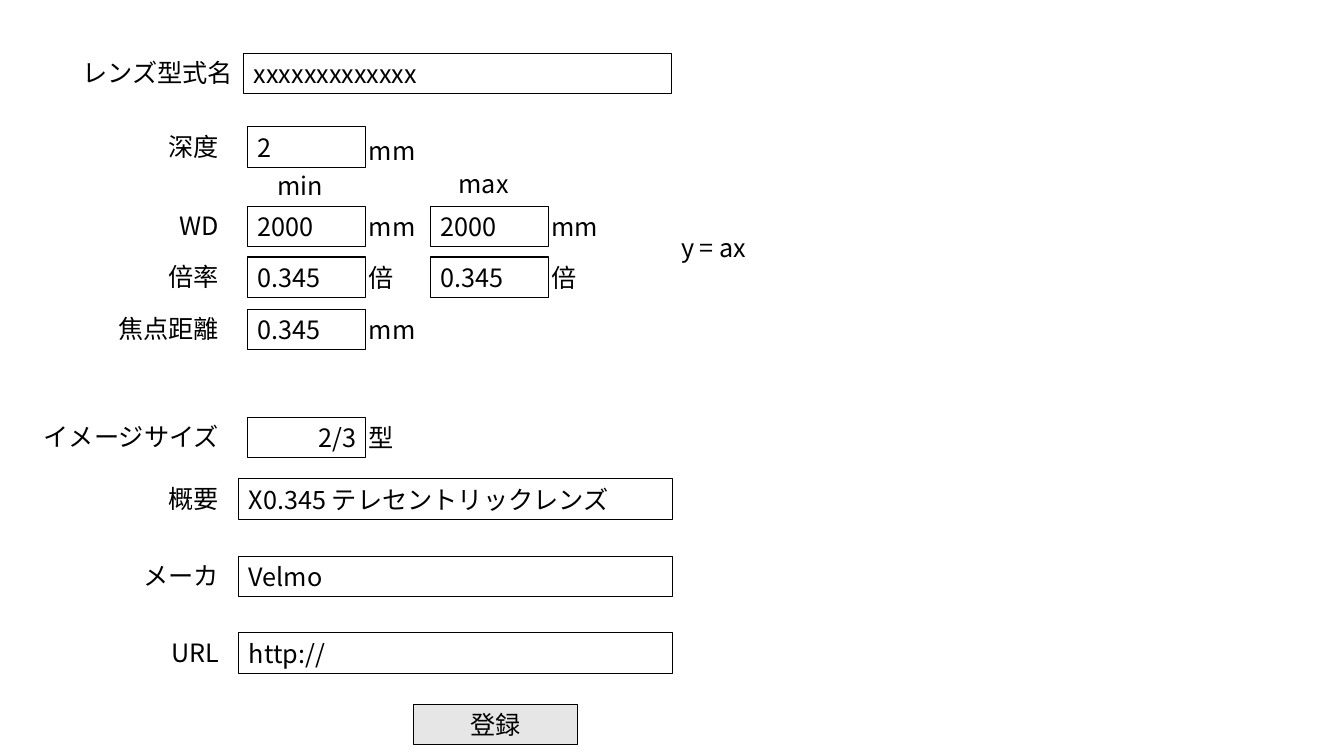
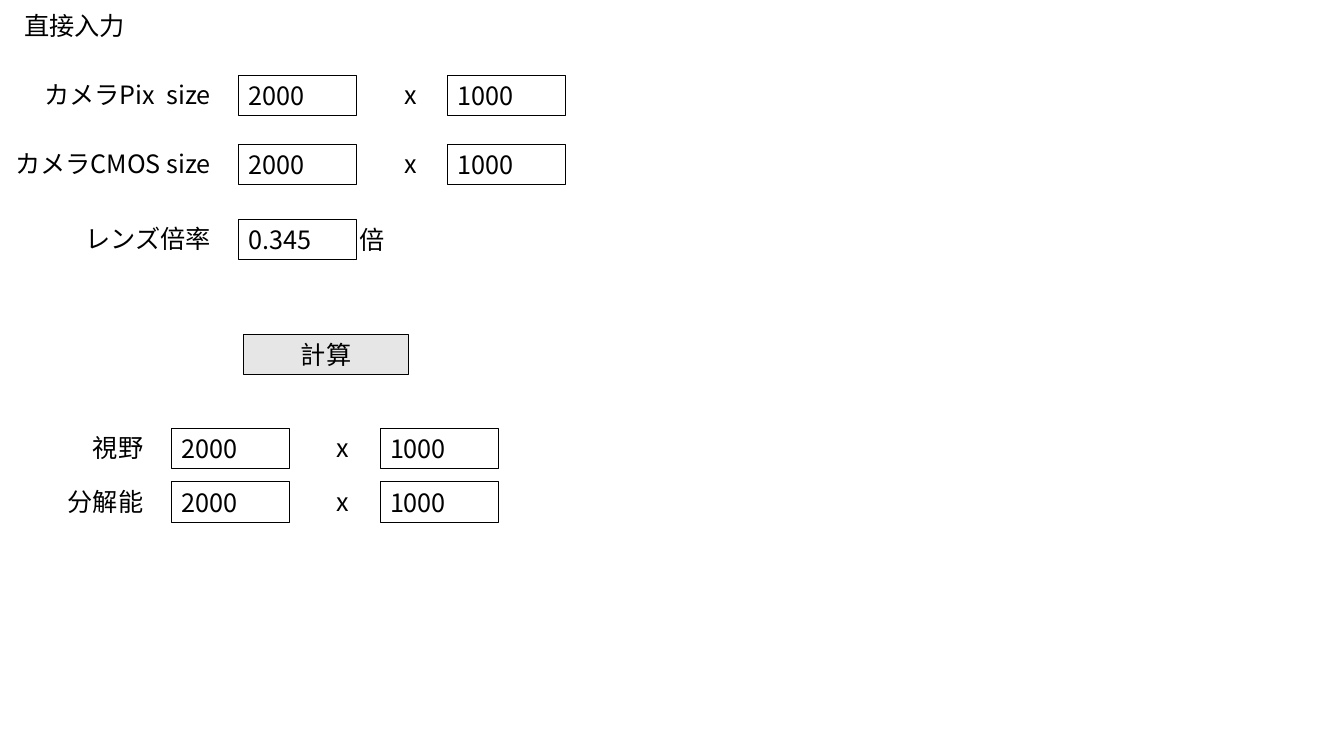
from dataclasses import dataclass

from pptx import Presentation
from pptx.dml.color import RGBColor
from pptx.enum.shapes import MSO_SHAPE as Preset
from pptx.enum.text import MSO_ANCHOR as Anchor, PP_ALIGN as Align
from pptx.oxml.ns import qn
from pptx.util import Inches, Pt

COLORS = {"ink": "000000", "button": "E7E6E6"}
FONT = "Noto Sans CJK JP"
HEIGHT = 0.4
FIELD_WIDTH = 1.17
BUTTON_WIDTH = 1.63
UNIT_STEP = 1.1
TIMES_STEP = 1.54
PAIR_STEP = 2.07
MAX_STEP = 1.81


@dataclass(frozen=True)
class Field:
    left: float
    value: str
    unit: str = ""
    width: float = FIELD_WIDTH
    align: Align = Align.LEFT
    unit_drop: float = 0.0


@dataclass(frozen=True)
class Row:
    label: str
    top: float
    label_right: float
    fields: tuple[Field, ...]
    times: bool = False


def write_text(box, text: str, *, align: Align = Align.LEFT, inset: float = 0.1) -> None:
    frame = box.text_frame
    frame.word_wrap = True
    frame.vertical_anchor = Anchor.MIDDLE
    frame.margin_left = Inches(inset)
    para = frame.paragraphs[0]
    para.alignment = align
    span = para.add_run()
    span.text = text
    span.font.name = FONT
    span.font.size = Pt(18)
    span.font.color.rgb = RGBColor.from_string(COLORS["ink"])
    east_asian = span.font._element.makeelement(qn("a:ea"), {"typeface": FONT})
    span.font._element.append(east_asian)


def add_text(page, left: float, top: float, width: float, text: str, **style) -> None:
    box = page.shapes.add_textbox(Inches(left), Inches(top), Inches(width), Inches(HEIGHT))
    write_text(box, text, **style)


def add_frame(page, left: float, top: float, width: float, text: str, *,
              fill: str = "", align: Align = Align.LEFT) -> None:
    box = page.shapes.add_shape(
        Preset.RECTANGLE, Inches(left), Inches(top), Inches(width), Inches(HEIGHT))
    box.shadow.inherit = False
    if fill:
        box.fill.solid()
        box.fill.fore_color.rgb = RGBColor.from_string(COLORS[fill])
    else:
        box.fill.background()
    box.line.color.rgb = RGBColor.from_string(COLORS["ink"])
    box.line.width = Pt(0.75)
    write_text(box, text, align=align)


def add_button(page, left: float, top: float, text: str) -> None:
    add_frame(page, left, top, BUTTON_WIDTH, text, fill="button", align=Align.CENTER)


def add_row(page, row: Row) -> None:
    add_text(page, 0, row.top - 0.01, row.label_right, row.label, align=Align.RIGHT, inset=0)
    for field in row.fields:
        add_frame(page, field.left, row.top, field.width, field.value, align=field.align)
        if field.unit:
            add_text(page, field.left + UNIT_STEP, row.top + field.unit_drop, 0.72, field.unit)
    if row.times:
        add_text(page, row.fields[0].left + TIMES_STEP, row.top - 0.01, 0.59, "x")


def wide_row(label: str, top: float, value: str) -> Row:
    return Row(label, top, 2.27, (Field(2.37, value, width=4.3),))


def range_row(label: str, top: float, value: str, unit: str) -> Row:
    fields = tuple(Field(left, value, unit) for left in (2.46, 2.46 + MAX_STEP))
    return Row(label, top, 2.27, fields)


def size_row(label: str, top: float, left: float) -> Row:
    fields = (Field(left, "2000"), Field(left + PAIR_STEP, "1000"))
    return Row(label, top, left - 0.18, fields, times=True)


LENS_ROWS = (
    Row("レンズ型式名", 0.53, 2.41, (Field(2.42, "xxxxxxxxxxxxx", width=4.24),)),
    Row("深度", 1.26, 2.27, (Field(2.46, "2", "mm", unit_drop=0.03),)),
    range_row("WD", 2.05, "2000", "mm"),
    range_row("倍率", 2.55, "0.345", "倍"),
    Row("焦点距離", 3.07, 2.27, (Field(2.46, "0.345", "mm"),)),
    Row("イメージサイズ", 4.14, 2.27, (Field(2.46, "2/3", "型", align=Align.RIGHT),)),
    wide_row("概要", 4.75, "X0.345 テレセントリックレンズ"),
    wide_row("メーカ", 5.52, "Velmo"),
    wide_row("URL", 6.28, "http://"),
)

CALCULATION_ROWS = (
    size_row("カメラPix  size", 0.75, 2.37),
    size_row("カメラCMOS size", 1.43, 2.37),
    Row("レンズ倍率", 2.18, 2.19, (Field(2.37, "0.345", "倍"),)),
    size_row("視野", 4.25, 1.7),
    size_row("分解能", 4.78, 1.7),
)


def add_page(deck, rows: tuple[Row, ...]):
    page = deck.slides.add_slide(deck.slide_layouts[6])
    for row in rows:
        add_row(page, row)
    return page


def build_lens_page(deck) -> None:
    page = add_page(deck, LENS_ROWS)
    add_text(page, 2.65, 1.64, 0.72, "min")
    add_text(page, 4.45, 1.62, 0.72, "max")
    add_text(page, 6.33, 2.25, 1.17, "y = ax", align=Align.RIGHT)
    add_button(page, 4.1, 6.99, "登録")


def build_calculation_page(deck) -> None:
    page = add_page(deck, CALCULATION_ROWS)
    add_text(page, 0.14, 0.05, 2.19, "直接入力")
    add_button(page, 2.42, 3.32, "計算")


def main() -> None:
    deck = Presentation()
    deck.slide_width = Inches(13.33)
    deck.slide_height = Inches(7.5)
    build_lens_page(deck)
    build_calculation_page(deck)
    deck.save("out.pptx")


if __name__ == "__main__":
    main()
